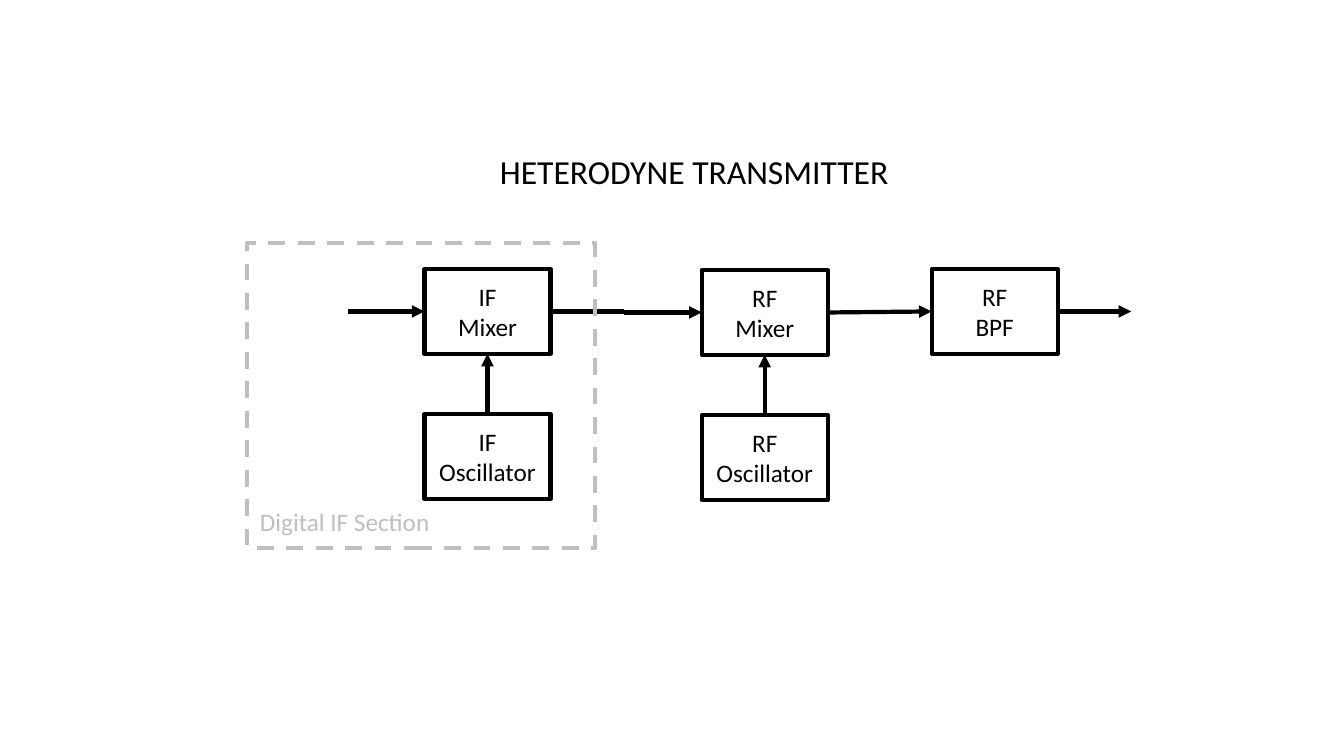
from dataclasses import dataclass

from lxml.etree import SubElement
from pptx import Presentation
from pptx.dml.color import RGBColor
from pptx.enum.dml import MSO_LINE
from pptx.enum.shapes import MSO_CONNECTOR, MSO_SHAPE
from pptx.enum.text import MSO_ANCHOR, MSO_AUTO_SIZE, PP_ALIGN
from pptx.oxml.ns import qn
from pptx.util import Inches, Pt

TOP, LEFT, BOTTOM, RIGHT = range(4)


@dataclass(frozen=True)
class Theme:
    font: str = "Calibri"
    ink: RGBColor = RGBColor(0, 0, 0)
    muted: RGBColor = RGBColor(0xBF, 0xBF, 0xBF)
    title_size: Pt = Pt(24)
    label_size: Pt = Pt(18)
    stroke: Pt = Pt(3)
    cell: float = 0.1  # inches per grid column and row


def apply(target, values):
    for name, value in values.items():
        setattr(target, name, value)


class Diagram:
    def __init__(self, page, theme):
        self.page, self.theme = page, theme

    def grid(self, *cells):
        return [Inches(count * self.theme.cell) for count in cells]

    def outline(self, item, color):
        item.line.color.rgb = color
        item.line.width = self.theme.stroke

    def fill_text(self, frame, text, size, color, align):
        para = frame.paragraphs[0]
        para.alignment = align
        for index, line in enumerate(text.split("\n")):
            if index:
                para.add_line_break()
            span = para.add_run()
            span.text = line
            apply(span.font, {"name": self.theme.font, "size": size})
            span.font.color.rgb = color

    def text(self, text, place, size, color):
        box = self.page.shapes.add_textbox(*self.grid(*place))
        apply(box.text_frame, {"word_wrap": False,
                               "auto_size": MSO_AUTO_SIZE.SHAPE_TO_FIT_TEXT})
        self.fill_text(box.text_frame, text, size, color, PP_ALIGN.LEFT)

    def frame(self, place, color):
        box = self.page.shapes.add_shape(MSO_SHAPE.RECTANGLE, *self.grid(*place))
        box.shadow.inherit = False
        box.fill.background()
        self.outline(box, color)
        return box

    def block(self, label, column, row):
        box = self.frame((column, row, 12.5, 8.4), self.theme.ink)
        apply(box.text_frame, {"word_wrap": False,
                               "vertical_anchor": MSO_ANCHOR.MIDDLE})
        self.fill_text(box.text_frame, label, self.theme.label_size,
                       self.theme.ink, PP_ALIGN.CENTER)
        return box

    def wire(self, start, end, arrow=True):
        """Each end is a (block, side) pair or a (column, row) point."""
        joined = [hasattr(point[0], "shape_id") for point in (start, end)]
        points = [(0, 0) if glued else self.grid(*point)
                  for point, glued in zip((start, end), joined)]
        line = self.page.shapes.add_connector(
            MSO_CONNECTOR.STRAIGHT, *points[0], *points[1])
        if joined[0]:
            line.begin_connect(*start)
        if joined[1]:
            line.end_connect(*end)
        self.outline(line, self.theme.ink)
        properties = line._element.spPr
        if arrow:
            SubElement(properties.find(qn("a:ln")), qn("a:tailEnd"), type="triangle")
        SubElement(properties, qn("a:effectLst"))

    def stage(self, band, column, row):
        """A mixer fed from below by its oscillator."""
        mixer = self.block(f"{band}\nMixer", column, row)
        oscillator = self.block(f"{band}\nOscillator", column, row + 14.4)
        self.wire((oscillator, TOP), (mixer, BOTTOM))
        return mixer


def main():
    deck = Presentation()
    apply(deck, {"slide_width": Inches(13.33), "slide_height": Inches(7.5)})
    theme = Theme()
    diagram = Diagram(deck.slides.add_slide(deck.slide_layouts[6]), theme)

    # Title
    diagram.text("HETERODYNE TRANSMITTER", (48.6, 14.5, 41, 5),
                 theme.title_size, theme.ink)

    # Signal chain
    if_mixer = diagram.stage("IF", 42.1, 26.7)
    rf_mixer = diagram.stage("RF", 69.6, 26.8)
    rf_filter = diagram.block("RF\nBPF", 92.4, 26.7)
    diagram.wire((34.5, 30.9), (if_mixer, LEFT))
    diagram.wire((if_mixer, RIGHT), (61.9, 30.9), arrow=False)
    diagram.wire((61.9, 31), (rf_mixer, LEFT))
    diagram.wire((rf_mixer, RIGHT), (rf_filter, LEFT))
    diagram.wire((rf_filter, RIGHT), (112.2, 30.9))

    # Digital section, over the wires
    section = diagram.frame((24.5, 24.1, 34.5, 30.3), theme.muted)
    section.line.dash_style = MSO_LINE.DASH
    diagram.text("Digital IF Section", (24.8, 49.7, 19, 4),
                 theme.label_size, theme.muted)

    deck.save("out.pptx")


if __name__ == "__main__":
    main()
